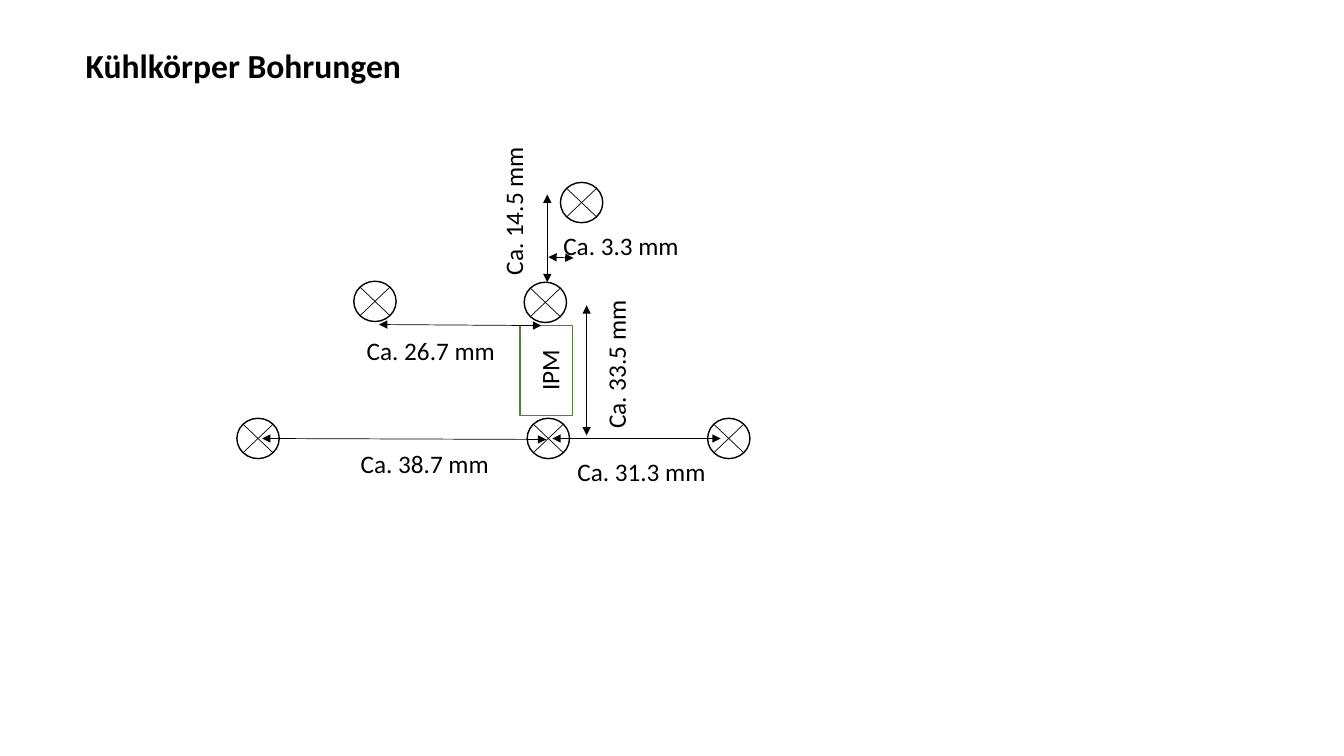
from lxml.etree import SubElement
from pptx import Presentation
from pptx.dml.color import RGBColor
from pptx.enum.shapes import MSO_CONNECTOR, MSO_SHAPE
from pptx.enum.text import MSO_ANCHOR, MSO_AUTO_SIZE, PP_ALIGN
from pptx.oxml.ns import qn
from pptx.util import Pt

BLACK, WHITE, GREEN = "000000", "FFFFFF", "538035"
HOLE_W, HOLE_H = 30.24, 28.8
CORNER = 0.146  # share of the box between its corner and the circle

TITLE_FORMAT = {"name": "Calibri", "size": Pt(24), "bold": True}
LABEL_FORMAT = {"name": "Calibri", "size": Pt(18)}

# Left and top of each drill hole
HOLES = [
    (169.2, 298.8), (252.72, 200.88), (505.44, 298.8),
    (400.32, 130.32), (374.4, 201.6), (376.56, 298.8),
]

# Start x, y and end x, y of each dimension arrow
DIMENSIONS = [
    (270.72, 231.84, 386.64, 232.56),
    (391.68, 183.6, 409.68, 184.32),
    (514.8, 313.2, 394.56, 313.2),
    (390.96, 201.6, 390.96, 138.96),
    (187.2, 313.2, 390.24, 313.92),
    (419.04, 311.04, 419.04, 218.16),
]

# Text, left, top, rotation
LABELS = [
    ("Ca. 26.7 mm", 254.88, 236.16, 0),
    ("Ca. 3.3 mm", 395.28, 161.28, 0),
    ("Ca. 14.5 mm", 312.48, 135.36, 270),
    ("Ca. 31.3 mm", 405.36, 322.56, 0),
    ("Ca. 38.7 mm", 250.56, 316.8, 0),
    ("Ca. 33.5 mm", 385.92, 244.8, 270),
]


def rgb(value):
    return RGBColor.from_string(value)


def write(tf, text, formats, align=PP_ALIGN.LEFT):
    p = tf.paragraphs[0]
    p.alignment = align
    r = p.add_run()
    r.text = text
    for name, value in formats.items():
        setattr(r.font, name, value)
    r.font.color.rgb = rgb(BLACK)


def add_title(s, text):
    title = s.shapes.title
    title.left, title.top, title.width, title.height = map(Pt, (54, 28.8, 241.92, 36))
    tf = title.text_frame
    tf.word_wrap = False
    tf.auto_size = MSO_AUTO_SIZE.NONE
    tf.vertical_anchor = MSO_ANCHOR.TOP
    write(tf, text, TITLE_FORMAT)


def add_label(s, text, x, y, rotation=0, w=108, align=PP_ALIGN.LEFT):
    box = s.shapes.add_textbox(Pt(x), Pt(y), Pt(w), Pt(28.8))
    box.rotation = rotation
    box.text_frame.word_wrap = True
    write(box.text_frame, text, LABEL_FORMAT, align)


def add_outline(s, kind, x, y, w, h, color, fill=None):
    sp = s.shapes.add_shape(kind, Pt(x), Pt(y), Pt(w), Pt(h))
    sp.shadow.inherit = False
    if fill:
        sp.fill.solid()
        sp.fill.fore_color.rgb = rgb(fill)
    else:
        sp.fill.background()
    sp.line.color.rgb = rgb(color)
    sp.line.width = Pt(1)


def add_line(s, x1, y1, x2, y2, arrows=False):
    line = s.shapes.add_connector(
        MSO_CONNECTOR.STRAIGHT, Pt(x1), Pt(y1), Pt(x2), Pt(y2))
    line.line.color.rgb = rgb(BLACK)
    line.line.width = Pt(0.5)
    if arrows:
        for end in ("a:headEnd", "a:tailEnd"):
            SubElement(line.line._get_or_add_ln(), qn(end), type="triangle")
    SubElement(line._element.spPr, qn("a:effectLst"))


def add_hole(s, x, y):
    add_outline(s, MSO_SHAPE.OVAL, x, y, HOLE_W, HOLE_H, BLACK)
    dx, dy = HOLE_W * CORNER, HOLE_H * CORNER
    left, right = x + dx, x + HOLE_W - dx
    top, bottom = y + dy, y + HOLE_H - dy
    add_line(s, left, top, right, bottom)
    add_line(s, left, bottom, right, top)


def main():
    prs = Presentation()
    prs.slide_width, prs.slide_height = Pt(960), Pt(540)
    s = prs.slides.add_slide(prs.slide_layouts[5])
    add_title(s, "Kühlkörper Bohrungen")

    # Power module
    add_outline(s, MSO_SHAPE.RECTANGLE, 371.52, 232.56, 37.44, 64.08, GREEN, WHITE)
    add_label(s, "IPM", 348.48, 249.84, 270, 87.84, PP_ALIGN.CENTER)

    # Drill holes with their distances
    for hole in HOLES:
        add_hole(s, *hole)
    for dimension in DIMENSIONS:
        add_line(s, *dimension, arrows=True)
    for label in LABELS:
        add_label(s, *label)

    prs.save("out.pptx")


if __name__ == "__main__":
    main()
